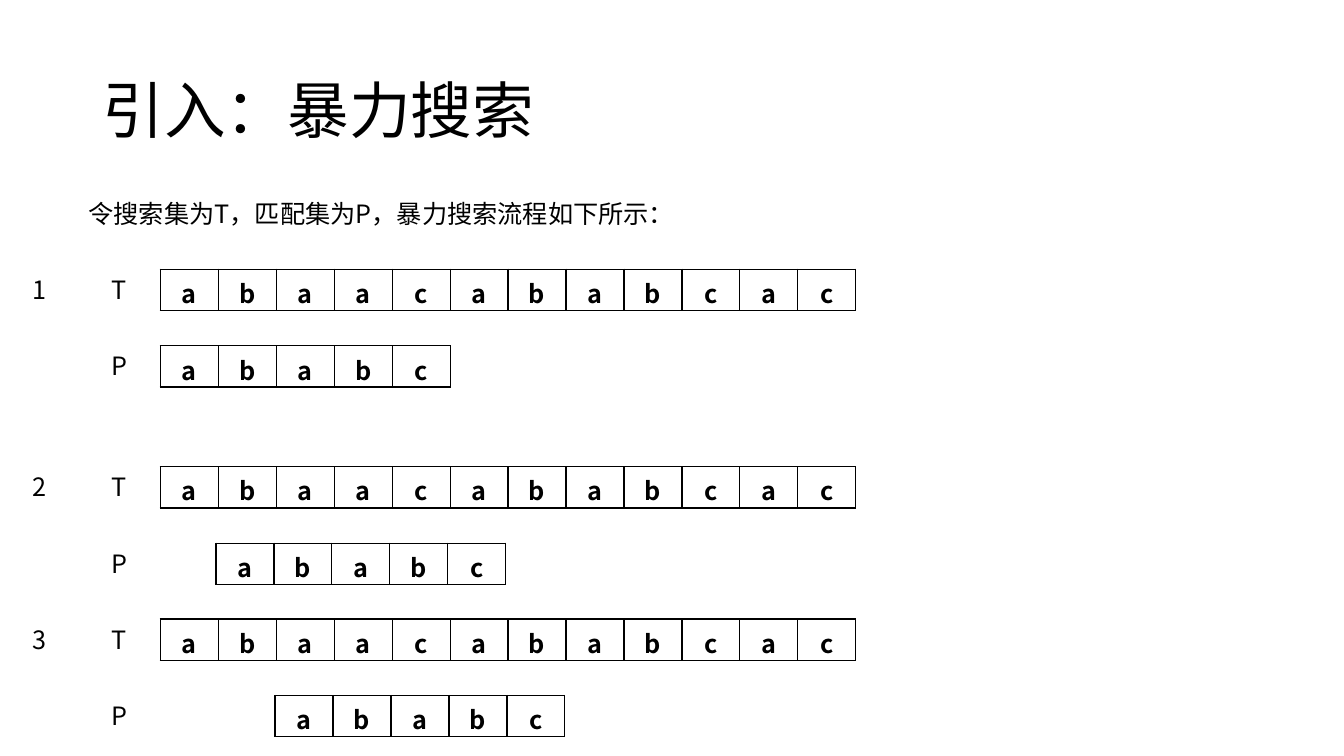
from dataclasses import dataclass
from lxml import etree
from pptx import Presentation
from pptx.dml.color import RGBColor
from pptx.enum.text import MSO_ANCHOR, MSO_AUTO_SIZE, PP_ALIGN
from pptx.oxml.ns import qn
from pptx.util import Inches, Pt

MID = MSO_ANCHOR.MIDDLE
TOP = MSO_ANCHOR.TOP
GROW = MSO_AUTO_SIZE.SHAPE_TO_FIT_TEXT
FIXED = MSO_AUTO_SIZE.NONE
CENTER = PP_ALIGN.CENTER


@dataclass(frozen=True)
class Theme:
    font: str = "Noto Sans CJK SC"
    ink: str = "000000"
    paper: str = "FFFFFF"
    head: int = 44
    body: int = 18
    rule: int = 1


@dataclass(frozen=True)
class Grid:
    left: float = 1.59
    col: float = 6.9 / 12
    row: float = 0.41
    drop: float = 0.76   # from the T row down to the P row
    num: float = 0.22    # left edge of the step numbers
    tag: float = 1.01    # left edge of the T and P tags
    line: float = 0.4    # height of a line of text


@dataclass(frozen=True)
class Step:
    num: str
    top: float
    shift: float         # offset of P, in columns
    foot: float          # bottom margin of the cells


THEME = Theme()
GRID = Grid()
TEXT = "abaacababcac"
MATCH = "ababc"
STEPS = (
    Step("1", 2.67, 0, 0.05),
    Step("2", 4.63, 0.96, 0),
    Step("3", 6.14, 1.98, 0),
)

deck = Presentation()
deck.slide_width, deck.slide_height = Inches(13.33), Inches(7.5)
slide = deck.slides.add_slide(deck.slide_layouts[6])


def add_run(para, text: str, size: int, bold: bool = False) -> None:
    run = para.add_run()
    run.text = text
    font = run.font
    font.name, font.size, font.bold = THEME.font, Pt(size), bold
    font.color.rgb = RGBColor.from_string(THEME.ink)
    east = etree.SubElement(run._r.get_or_add_rPr(), qn("a:ea"))
    east.set("typeface", THEME.font)


def add_label(text: str, left: float, top: float, width: float):
    box = slide.shapes.add_textbox(
        Inches(left), Inches(top), Inches(width), Inches(GRID.line))
    frame = box.text_frame
    frame.word_wrap, frame.auto_size = False, GROW
    frame.vertical_anchor = TOP
    add_run(frame.paragraphs[0], text, THEME.body)


def add_edges(cell) -> None:
    props = cell._tc.get_or_add_tcPr()
    for spot, side in enumerate(("lnL", "lnR", "lnT", "lnB")):
        edge = etree.Element(qn(f"a:{side}"), w=str(Pt(THEME.rule)))
        fill = etree.SubElement(edge, qn("a:solidFill"))
        etree.SubElement(fill, qn("a:srgbClr"), val=THEME.ink)
        props.insert(spot, edge)


def add_cells(word: str, left: float, top: float, foot: float) -> None:
    size = len(word)
    table = slide.shapes.add_table(
        1, size, Inches(left), Inches(top),
        Inches(GRID.col * size), Inches(GRID.row)).table
    table.first_row = table.horz_banding = False
    for spot, char in enumerate(word):
        table.columns[spot].width = Inches(GRID.col)
        cell = table.cell(0, spot)
        cell.margin_bottom = Inches(foot)
        cell.fill.solid()
        cell.fill.fore_color.rgb = RGBColor.from_string(THEME.paper)
        add_edges(cell)
        para = cell.text_frame.paragraphs[0]
        para.alignment = CENTER
        add_run(para, char, THEME.body, True)


# Title
title = slide.shapes.add_textbox(
    Inches(0.92), Inches(0.4), Inches(11.5), Inches(1.45)).text_frame
title.word_wrap, title.auto_size = True, FIXED
title.vertical_anchor = MID
title.paragraphs[0].line_spacing = 0.9
add_run(title.paragraphs[0], "引入：暴力搜索", THEME.head)

# Introduction
add_label("令搜索集为T，匹配集为P，暴力搜索流程如下所示：", 0.78, 1.92, 6.03)

# Search steps
for step in STEPS:
    add_label(step.num, GRID.num, step.top, 0.34)
    rows = (("T", TEXT, 0, 0), ("P", MATCH, step.shift, GRID.drop))
    for tag, word, shift, drop in rows:
        top = step.top + drop
        add_label(tag, GRID.tag, top, 0.34)
        add_cells(word, GRID.left + shift * GRID.col, top, step.foot)

deck.save("out.pptx")
